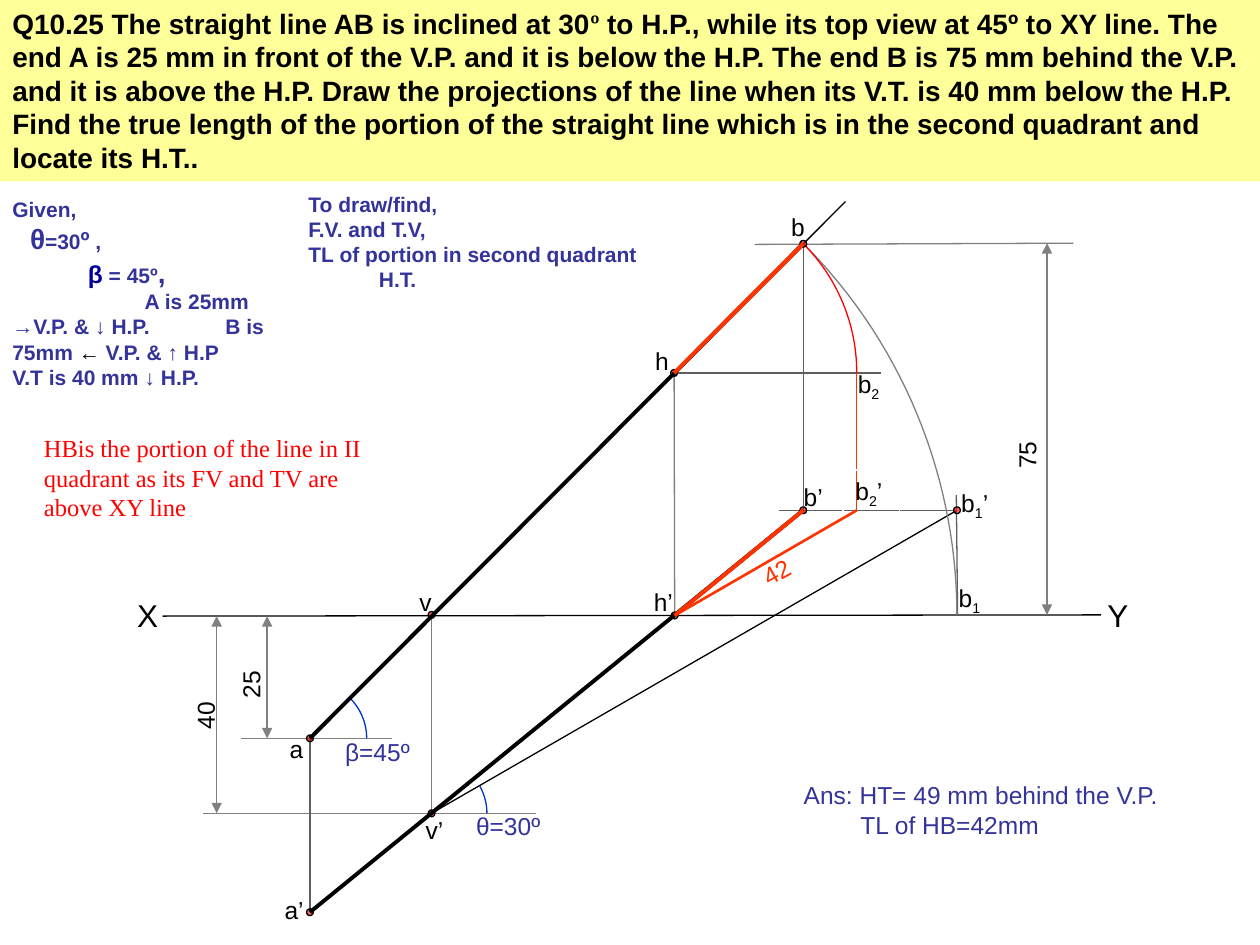
import math
from typing import NamedTuple, Optional

import lxml.etree
import pptx
import pptx.dml.color
import pptx.enum.shapes
import pptx.enum.text
import pptx.oxml.ns
import pptx.util

RGB = pptx.dml.color.RGBColor
SHAPE = pptx.enum.shapes.MSO_SHAPE
BLACK, WHITE = RGB(0, 0, 0), RGB(255, 255, 255)
GREY, DARK = RGB(0x80, 0x80, 0x80), RGB(0x5F, 0x5F, 0x5F)
RED, FLAME = RGB(0xFF, 0, 0), RGB(0xFF, 0x33, 0)
BLUE, INK, NAVY = RGB(0, 0x33, 0xCC), RGB(0x33, 0x33, 0x99), RGB(0, 0, 0x99)
CREAM = RGB(0xFF, 0xFF, 0x99)

# The slide is a grid of 100 columns by 75 rows
COLS, ROWS = 100, 75
deck = pptx.Presentation()
deck.slide_width = pptx.util.Inches(10)
deck.slide_height = pptx.util.Inches(7.5)
CELL = deck.slide_width / COLS
slide = deck.slides.add_slide(deck.slide_layouts[6])
shapes = slide.shapes


class Point(NamedTuple):
    x: float
    y: float


class Line(NamedTuple):
    start: Point
    end: Point
    color: RGB = GREY
    width: float = 0.75
    arrows: bool = False


class Arc(NamedTuple):
    hub: Point
    radius: float
    angle: int
    color: RGB


class Run(NamedTuple):
    text: str
    size: float = 12
    color: RGB = INK
    bold: bool = True
    face: str = "Arial"
    base: int = 0


class Para(NamedTuple):
    runs: list[Run]
    indent: float = 0
    tab: float = 0


class Label(NamedTuple):
    x: float
    y: float
    words: tuple[str, ...]  # every second word is a subscript
    width: float = 4.5
    color: RGB = BLACK
    size: float = 14
    turn: float = 0
    face: str = "Arial"


def grid(*cells: float) -> list[int]:
    return [round(cell * CELL) for cell in cells]


def add_tag(parent, name: str, **values: str):
    return lxml.etree.SubElement(parent, pptx.oxml.ns.qn(name), values)


def draw_line(line: Line) -> None:
    item = shapes.add_connector(pptx.enum.shapes.MSO_CONNECTOR.STRAIGHT,
                                *grid(*line.start, *line.end))
    item.line.color.rgb = line.color
    item.line.width = pptx.util.Pt(line.width)
    if line.arrows:
        stroke = item.line._get_or_add_ln()
        add_tag(stroke, "a:headEnd", type="triangle")
        add_tag(stroke, "a:tailEnd", type="triangle")
    add_tag(item._element.spPr, "a:effectLst")


def draw_arc(arc: Arc, steps: int = 30) -> None:
    turns = [math.radians(arc.angle * i / steps) for i in range(steps + 1)]
    spots = [grid(arc.hub.x + arc.radius * math.cos(t),
                  arc.hub.y - arc.radius * math.sin(t)) for t in turns]
    curve = shapes.build_freeform(*spots[0])
    curve.add_line_segments(spots[1:], close=False)
    item = curve.convert_to_shape()
    item.shadow.inherit = False
    item.fill.background()
    item.line.color.rgb = arc.color
    item.line.width = pptx.util.Pt(0.75)


def draw_dot(spot: Point, size: float = 0.54) -> None:
    item = shapes.add_shape(SHAPE.OVAL, *grid(spot.x - size / 2, spot.y - size / 2, size, size))
    item.shadow.inherit = False
    item.fill.solid()
    item.fill.fore_color.rgb = RED
    add_tag(item._element.xpath("./p:spPr/a:solidFill/a:srgbClr")[0], "a:alpha", val="62000")
    item.line.color.rgb = BLACK
    item.line.width = pptx.util.Pt(0.75)


def fill_text(item, paras: list[Para]) -> None:
    frame = item.text_frame
    frame.word_wrap = True
    frame.vertical_anchor = pptx.enum.text.MSO_ANCHOR.TOP
    for i, para in enumerate(paras):
        block = frame.add_paragraph() if i else frame.paragraphs[0]
        block.alignment = pptx.enum.text.PP_ALIGN.LEFT
        props = block._p.get_or_add_pPr()
        if para.indent:
            props.set("marL", str(grid(para.indent)[0]))
        if para.tab:
            stops = add_tag(props, "a:tabLst")
            add_tag(stops, "a:tab", pos=str(grid(para.tab)[0]), algn="l")
        for piece in para.runs:
            run = block.add_run()
            run.text = piece.text
            run.font.size = pptx.util.Pt(piece.size)
            run.font.name = piece.face
            run.font.bold = piece.bold
            run.font.color.rgb = piece.color
            if piece.base:
                run._r.get_or_add_rPr().set("baseline", str(piece.base * 1000))


def draw_text(x: float, y: float, wide: float, high: float, paras: list[Para],
              fill: Optional[RGB] = None, edge: Optional[RGB] = None) -> None:
    if fill or edge:
        item = shapes.add_shape(SHAPE.RECTANGLE, *grid(x, y, wide, high))
        item.shadow.inherit = False
        item.fill.background()
        item.line.fill.background()
    else:
        item = shapes.add_textbox(*grid(x, y, wide, high))
    if fill:
        item.fill.solid()
        item.fill.fore_color.rgb = fill
    if edge:
        item.line.color.rgb = edge
        item.line.width = pptx.util.Pt(0.75)
    fill_text(item, paras)


def label_runs(label: Label) -> list[Run]:
    return [Run(text, label.size, label.color, False, label.face, -25 * (i % 2))
            for i, text in enumerate(label.words)]


def draw_label(label: Label) -> None:
    item = shapes.add_textbox(*grid(label.x, label.y, label.width, label.size * 0.24))
    item.rotation = label.turn
    fill_text(item, [Para(label_runs(label))])


# Points of the projection
A, B, H, V = Point(24.6, 58.6), Point(63.75, 19.35), Point(53.5, 29.6), Point(34.25, 48.8)
A2, B2, H2, V2 = Point(24.6, 72.4), Point(63.75, 40.5), Point(53.55, 48.85), Point(34.25, 64.55)
SWUNG, NEAR, TURN = Point(75.95, 40.5), Point(68, 40.5), Point(68, 29.6)

# Question and given data
ask = ("Q10.25 The straight line AB is inclined at 30",
       " to H.P., while its top view at 45º to XY line. The end A is 25 mm in front of the V.P. "
       "and it is below the H.P. The end B is 75 mm behind the V.P. and it is above the H.P. "
       "Draw the projections of the line when its V.T. is 40 mm below the H.P. Find the true "
       "length of the portion of the straight line which is in the second quadrant and locate its H.T..")
draw_text(0, 0, COLS, 14.4, [Para([Run(ask[0], 16, BLACK), Run("º", 16, BLACK, face="Times New Roman"),
                                   Run(ask[1], 16, BLACK)])], fill=CREAM)
draw_text(0, 15.1, 24, 17, [
    Para([Run("Given,")]),
    Para([Run("θ", 16), Run("=30"), Run("º", 14), Run(" ,")], 1.4),
    Para([Run("β", 14, NAVY), Run(" = 45º"), Run(",", 16)], 6),
    Para([Run("A is 25mm")], 10.5),
    Para([Run("→", bold=False), Run("V.P. & "), Run("↓", bold=False), Run(" H.P.\tB is")], tab=16.9),
    Para([Run("75mm "), Run("← ", color=BLACK, bold=False), Run("V.P. & "),
          Run("↑", bold=False), Run(" H.P")]),
    Para([Run("V.T is 40 mm "), Run("↓ ", bold=False), Run("H.P.")])])
draw_text(23.5, 14.7, 28.4, 9, [
    Para([Run("To draw/find,")]), Para([Run("F.V. and T.V,")]),
    Para([Run("TL of portion in second quadrant")]), Para([Run("H.T.")], 5.6)])

# Reference, projector and dimension lines
for line in (
        Line(Point(12.9, 48.9), Point(87.4, 48.8), BLACK), Line(A, Point(67.1, 16), BLACK),
        Line(V2, SWUNG, BLACK), Line(Point(31.1, A.y), Point(19.1, A.y)),
        Line(Point(85.2, 19.3), Point(59.9, 19.4)), Line(Point(42.5, V2.y), Point(16.1, V2.y)),
        Line(V, V2), Line(H, H2), Line(A, A2, DARK), Line(B, B2, DARK),
        Line(Point(75.9, 39.3), Point(76, 48.8), DARK), Line(SWUNG, Point(61.8, 40.5), DARK),
        Line(H, Point(69.9, H.y), DARK),
        Line(Point(21.2, 48.9), Point(21.2, A.y), arrows=True),
        Line(Point(17.2, 48.9), Point(17.2, V2.y), arrows=True),
        Line(Point(83.1, 19.3), Point(83.1, 48.8), arrows=True)):
    draw_line(line)

# Angle marks and swings
for arc in (Arc(A, 4.5, 45, BLUE), Arc(V2, 4.4, 30, BLUE), Arc(V, 41.7, 45, GREY), Arc(H, 14.5, 45, RED)):
    draw_arc(arc)

for spot in (A, B, H, V, A2, B2, H2, V2, SWUNG):
    draw_dot(spot)

# Both views of the line, with the second-quadrant portion in red
for line in (Line(A, B, BLACK, 2.25), Line(A2, B2, BLACK, 2.25), Line(H, B, FLAME, 2.25),
             Line(H2, B2, FLAME, 2.25), Line(TURN, NEAR, FLAME)):
    draw_line(line)
draw_text(66.9, 37.3, 4.5, 3.4, [Para(label_runs(Label(0, 0, ("b", "2", "’"))))], edge=WHITE)
draw_line(Line(H2, NEAR, FLAME, 1.5))

# Labels and results
for label in (
        Label(9.9, 46.8, ("X",), 5.9, size=18), Label(86.9, 46.8, ("Y",), 5.3, size=18),
        Label(22, 57.8, ("a",)), Label(61.8, 16.3, ("b",)), Label(32.3, 46.1, ("v",)),
        Label(51, 27, ("h",)), Label(21.6, 70.5, ("a’",)), Label(62.8, 37.8, ("b’",)),
        Label(32.8, 64.2, ("v’",)), Label(50.9, 46.1, ("h’",)),
        Label(75.1, 45.8, ("b", "1")), Label(75.3, 38.2, ("b", "1", "’")), Label(67.1, 28.8, ("b", "2")),
        Label(17.4, 52.2, ("25",), 5, turn=270), Label(13.8, 54.7, ("40",), 5, turn=270),
        Label(79, 34, ("75",), 5, turn=270), Label(59.5, 43.5, ("42",), 5, FLAME, turn=331),
        Label(26.4, 58, ("β=45º",), 7.7, INK), Label(36.8, 63.9, ("θ=30º",), 7.7, INK),
        Label(62.8, 61.4, ("Ans: HT= 49 mm behind the V.P.",), 33.5, INK),
        Label(67.3, 63.8, ("TL of HB=42mm",), 17.9, INK),
        Label(2.5, 33.9, ("HBis the portion of the line in II quadrant as its FV and TV are above XY line",),
              27.2, RED, face="Times New Roman")):
    draw_label(label)

deck.save("out.pptx")
